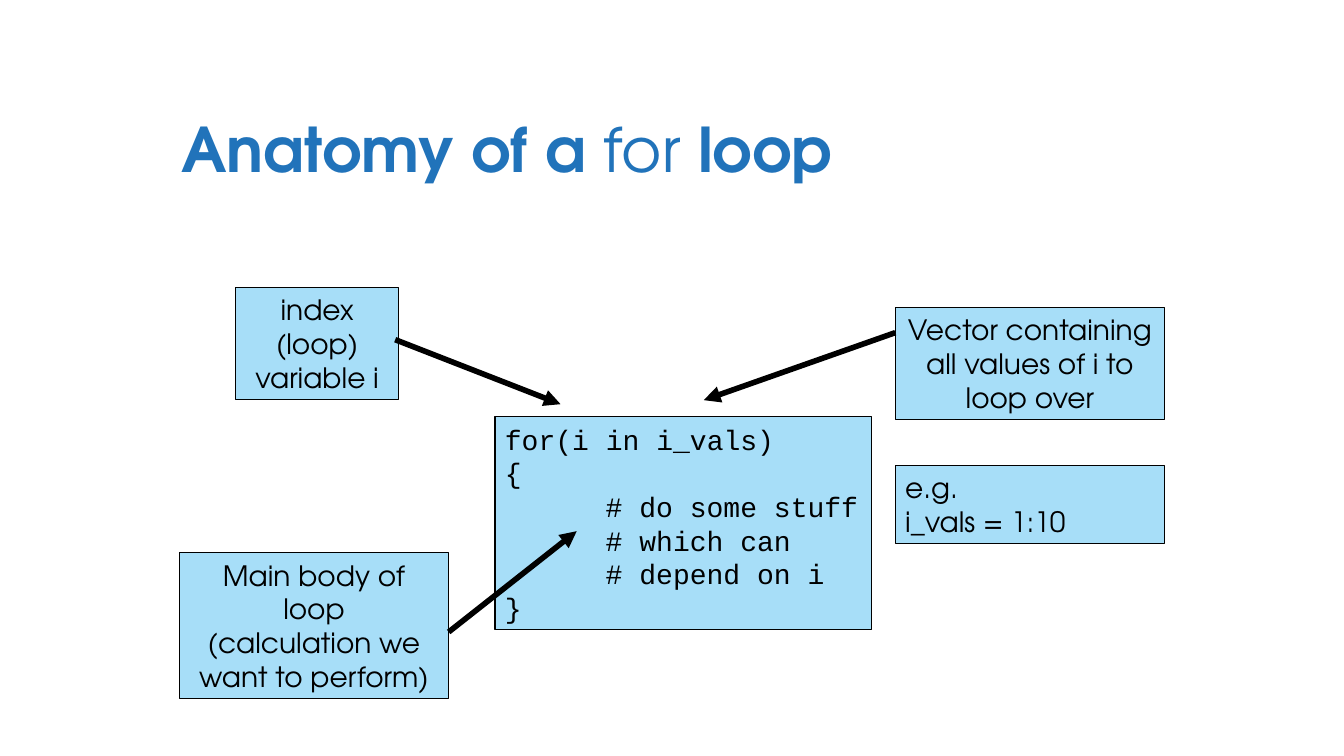
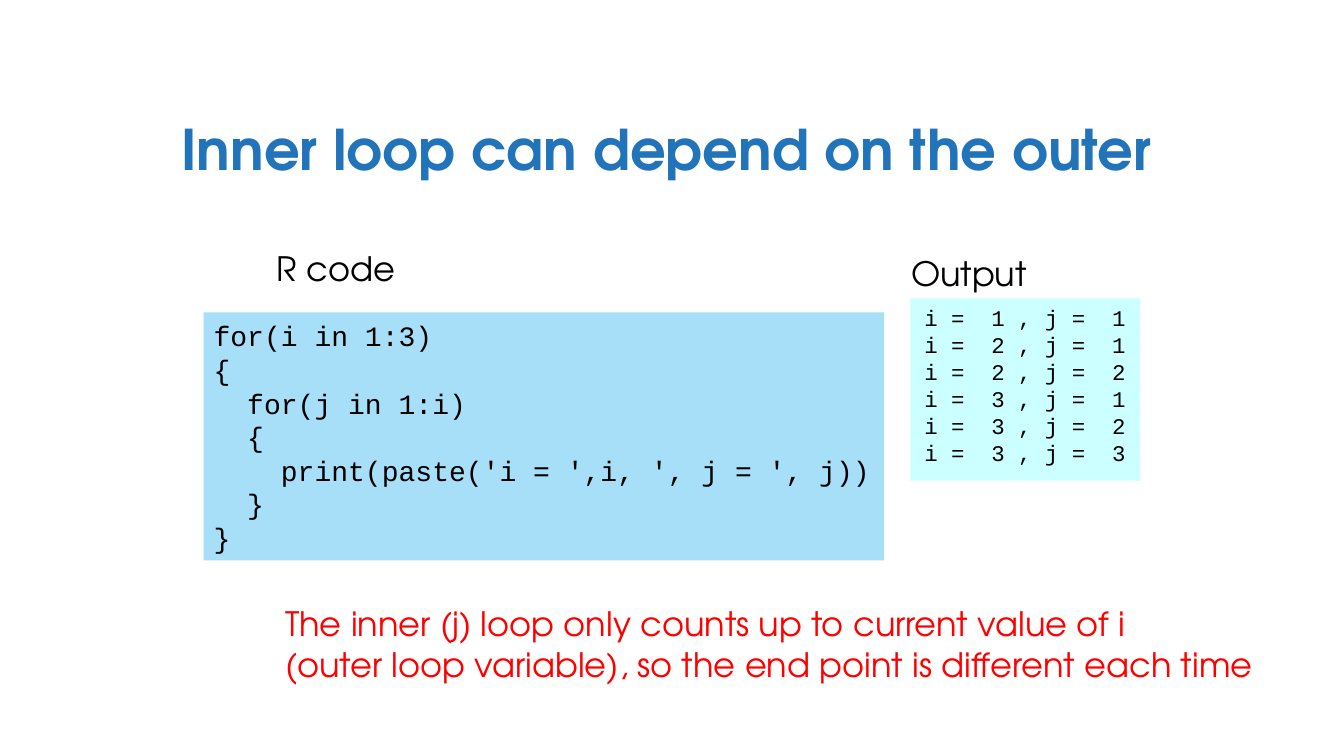
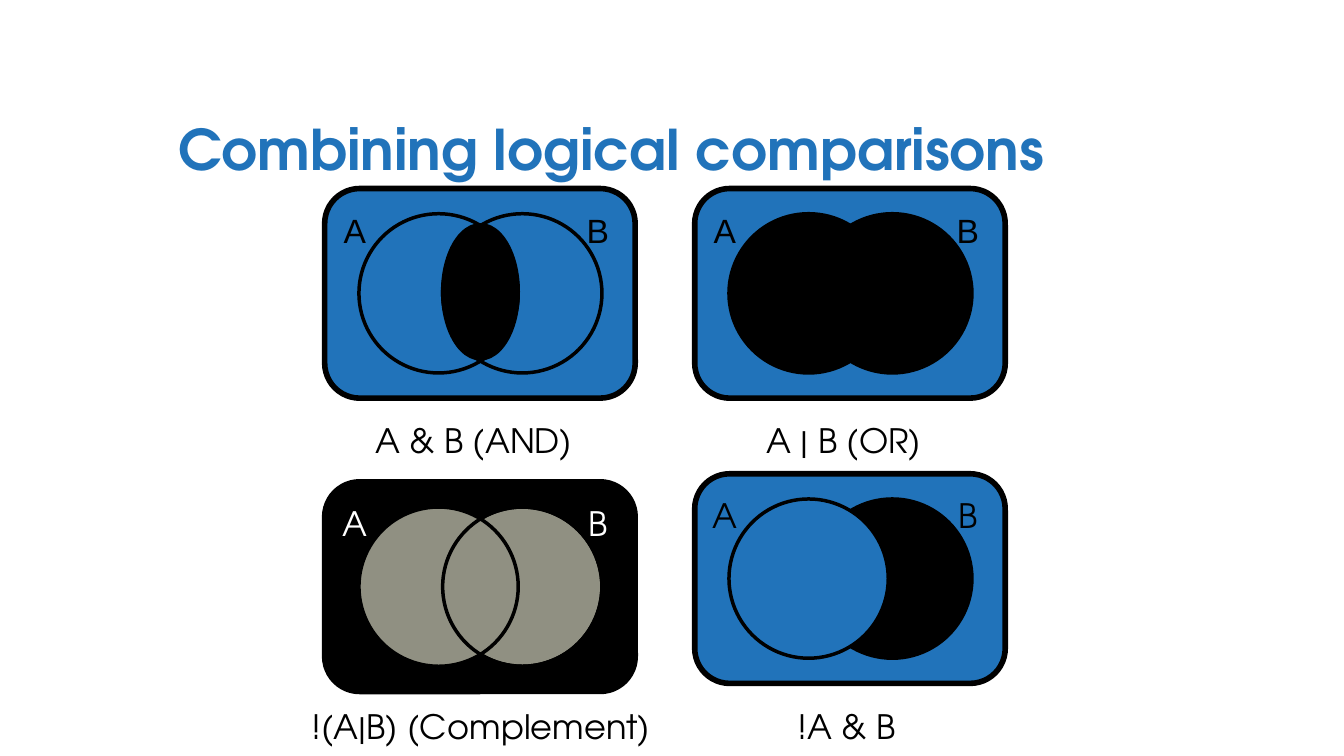
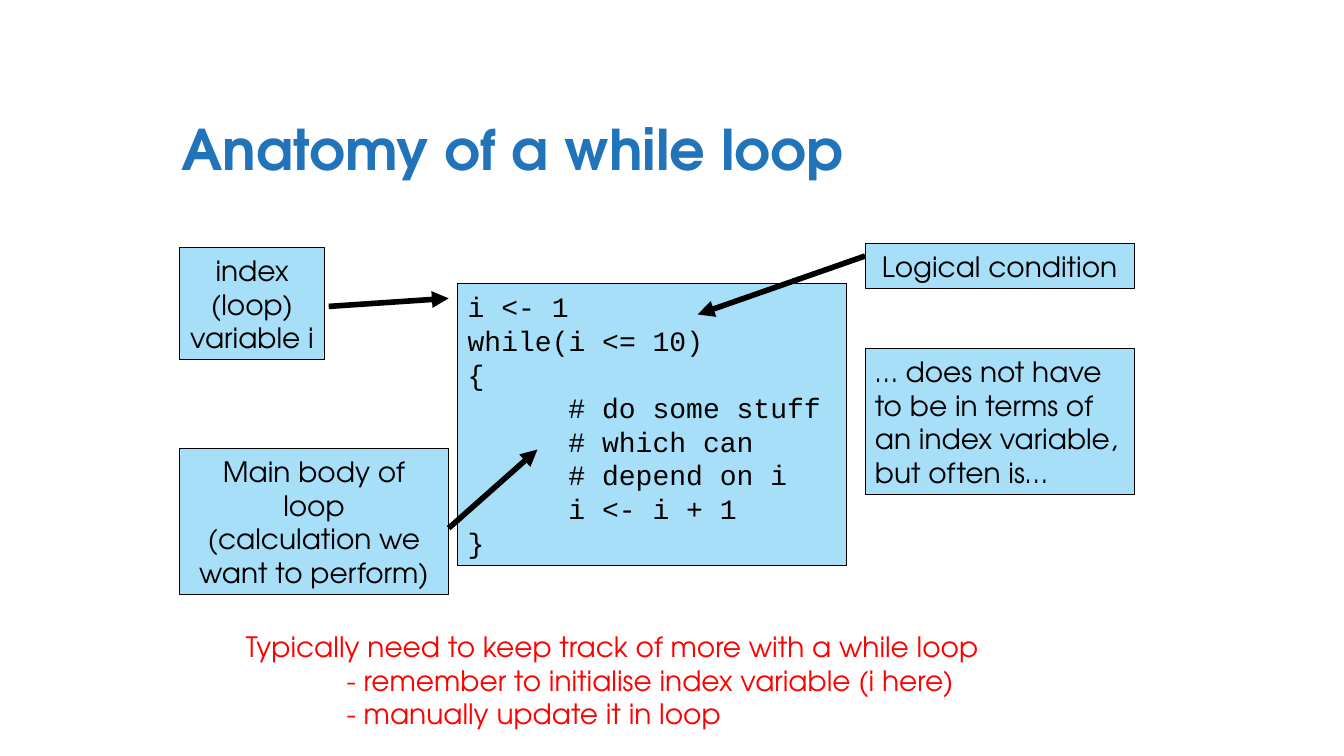
from lxml.etree import SubElement
from pptx import Presentation
from pptx.dml.color import RGBColor
from pptx.enum.shapes import MSO_CONNECTOR, MSO_SHAPE
from pptx.enum.text import MSO_ANCHOR, PP_ALIGN
from pptx.oxml.ns import qn
from pptx.util import Inches, Pt

BLUE = RGBColor(0x21, 0x73, 0xBA)
SKY = RGBColor(0xA7, 0xDE, 0xF8)
PALE = RGBColor(0xCC, 0xFF, 0xFF)
GREY = RGBColor(0x90, 0x90, 0x82)
RED = RGBColor(0xFF, 0x00, 0x00)
BLACK = RGBColor(0x00, 0x00, 0x00)
WHITE = RGBColor(0xFF, 0xFF, 0xFF)

SANS = "TeX Gyre Adventor"
MONO = "Courier New"
LETTER = "Arial"

MAIN_BODY = "Main body of loop\n(calculation we want to perform)"
INDEX = "index (loop) variable i"


def style(font, size, color, name=SANS, bold=False):
    font.name, font.size, font.bold = name, Pt(size), bold
    font.color.rgb = color


def add_tab_stop(para):
    tabs = SubElement(para._p.get_or_add_pPr(), qn("a:tabLst"))
    SubElement(tabs, qn("a:tab"), pos=str(Inches(1)), algn="l")


def write(shape, text, size, color=BLACK, name=SANS, align=PP_ALIGN.LEFT, wrap=True):
    frame = shape.text_frame
    frame.word_wrap = wrap
    frame.vertical_anchor = MSO_ANCHOR.MIDDLE
    frame.text = text
    for para in frame.paragraphs:
        para.alignment = align
        if name == MONO:
            para.line_spacing = Pt(size * 1.2)
        if "\t" in para.text:
            add_tab_stop(para)
        for span in para.runs:
            style(span.font, size, color, name)


def add_figure(page, kind, at, fill=None, line_width=None):
    shape = page.shapes.add_shape(kind, *map(Inches, at))
    shape.shadow.inherit = False
    if fill is None:
        shape.fill.background()
    else:
        shape.fill.solid()
        shape.fill.fore_color.rgb = fill
    if line_width is None:
        shape.line.fill.background()
    else:
        shape.line.color.rgb = BLACK
        shape.line.width = Pt(line_width)
    return shape


def add_panel(page, at, text, name=SANS, align=PP_ALIGN.LEFT, line_width=0.75):
    shape = add_figure(page, MSO_SHAPE.RECTANGLE, at, SKY, line_width)
    write(shape, text, 20, name=name, align=align)


def add_callout(page, at, text, start, end):
    """Centred panel with an arrow to the code it explains."""
    add_panel(page, at, text, align=PP_ALIGN.CENTER)
    arrow = page.shapes.add_connector(
        MSO_CONNECTOR.STRAIGHT, *map(Inches, (*start, *end)))
    arrow.line.color.rgb = BLACK
    arrow.line.width = Pt(4)
    SubElement(arrow.line._get_or_add_ln(), qn("a:tailEnd"), type="triangle")
    SubElement(arrow._element.spPr, qn("a:effectLst"))


def add_text(page, at, text, size=24, **look):
    box = page.shapes.add_textbox(*map(Inches, at))
    write(box, text, size, wrap=False, **look)


def add_centred(page, centre, top, text, width=0.5, **look):
    add_text(page, (centre - width / 2, top, width, 0.5), text,
             align=PP_ALIGN.CENTER, **look)


def add_title(page, parts, size=40, left=1.7):
    """Title from (text, bold) parts."""
    box = page.shapes.add_textbox(
        Inches(left), Inches(0.84), Inches(9.84), Inches(1.25))
    frame = box.text_frame
    frame.word_wrap = True
    frame.vertical_anchor = MSO_ANCHOR.MIDDLE
    for text, bold in parts:
        span = frame.paragraphs[0].add_run()
        span.text = text
        style(span.font, size, BLUE, bold=bold)


def add_venn(page, left, top, frame_fill, circles, letter_font=SANS, letter_color=BLACK):
    """Framed Venn diagram; circles are (set name, fill) from back to front."""
    frame = add_figure(page, MSO_SHAPE.ROUNDED_RECTANGLE,
                       (left, top, 3.08, 2.08), frame_fill, 4)
    frame.adjustments[0] = 0.167
    offsets = {"A": 0.34, "B": 1.17}
    for set_name, fill in circles:
        add_figure(page, MSO_SHAPE.OVAL,
                   (left + offsets[set_name], top + 0.25, 1.58, 1.58), fill, 2.5)
    for letter, centre in (("A", 0.3), ("B", 2.71)):
        add_centred(page, left + centre, top + 0.16, letter,
                    name=letter_font, color=letter_color)


def build_for_loop(page):
    code = ("for(i in i_vals)\n{\n\t# do some stuff\n\t# which can\n"
            "\t# depend on i\n}")
    add_panel(page, (4.91, 4.13, 3.73, 2.12), code, MONO)
    add_callout(page, (2.34, 2.85, 1.61, 1.11), INDEX, (3.92, 3.37), (5.56, 4.01))
    add_callout(page, (8.88, 3.05, 2.67, 1.11),
                "Vector containing all values of i to loop over",
                (8.88, 3.3), (6.98, 3.97))
    add_panel(page, (8.88, 4.62, 2.67, 0.77), "e.g.\ni_vals = 1:10")
    add_callout(page, (1.78, 5.48, 2.67, 1.45), MAIN_BODY, (4.45, 6.27), (5.72, 5.27))
    add_title(page, [("Anatomy of a ", True), ("for", False), (" loop", True)], 44)


def build_nested_loop(page):
    add_title(page, [("Inner loop can depend on the outer", True)])
    code = ("for(i in 1:3)\n{\n  for(j in 1:i)\n  {\n"
            "    print(paste('i = ',i, ', j = ', j))\n  }\n}")
    add_panel(page, (2.02, 3.1, 6.75, 2.46), code, MONO, line_width=None)
    add_figure(page, MSO_SHAPE.RECTANGLE, (9.03, 2.96, 2.28, 1.81), PALE)
    output = "\n".join(f"i =  {i} , j =  {j}" for i in range(1, 4) for j in range(1, i + 1))
    add_text(page, (9.07, 2.96, 2.23, 1.72), output, 16, name=MONO)
    add_centred(page, 9.61, 2.46, "Output", 1.36)
    add_centred(page, 3.33, 2.41, "R code", 1.39)
    add_text(page, (2.73, 5.93, 9.93, 0.91),
             "The inner (j) loop only counts up to current value of i\n"
             "(outer loop variable), so the end point is different each time",
             color=RED)


def build_logic(page):
    left, right, top = 3.22, 6.89, 1.87
    add_venn(page, left, top, BLUE, [("A", None), ("B", None)], LETTER)
    add_figure(page, MSO_SHAPE.OVAL, (left + 1.17, top + 0.36, 0.75, 1.33), BLACK, 2.5)
    add_venn(page, right, top, BLUE, [("A", BLACK), ("B", BLACK)], LETTER)
    add_figure(page, MSO_SHAPE.RECTANGLE, (right + 1, top + 0.36, 1.12, 1.32), BLACK, 0.75)
    add_venn(page, left, 4.78, BLACK, [("B", GREY), ("A", GREY), ("B", None)],
             letter_color=WHITE)
    add_venn(page, right, 4.7, BLUE, [("B", BLACK), ("A", BLUE)])
    for centre, caption_top, caption, width in (
            (4.7, 4.12, "A & B (AND)", 2.17),
            (8.37, 4.12, "A | B (OR)", 1.9),
            (4.77, 6.95, "!(A|B) (Complement)", 3.74),
            (8.4, 6.95, "!A & B", 1.18)):
        add_centred(page, centre, caption_top, caption, width)
    add_title(page, [("Combining logical comparisons", True)], left=1.67)


def build_while_loop(page):
    code = ("i <- 1\nwhile(i <= 10)\n{\n\t# do some stuff\n\t# which can\n"
            "\t# depend on i\n\ti <- i + 1\n}")
    add_panel(page, (4.54, 2.81, 3.86, 2.8), code, MONO)
    add_panel(page, (8.58, 3.46, 2.67, 1.45),
              "… does not have to be in terms of an index variable, but often is…")
    add_callout(page, (1.78, 2.46, 1.44, 1.11), INDEX, (3.26, 3.04), (4.45, 2.96))
    add_callout(page, (8.58, 2.42, 2.67, 0.44), "Logical condition",
                (8.58, 2.54), (6.92, 3.12))
    add_callout(page, (1.78, 4.45, 2.67, 1.45), MAIN_BODY, (4.45, 5.24), (5.33, 4.46))
    add_title(page, [("Anatomy of a while loop", True)])
    add_text(page, (2.34, 6.19, 7.57, 1.11),
             "Typically need to keep track of more with a while loop\n"
             "\t- remember to initialise index variable (i here)\n"
             "\t- manually update it in loop", 20, color=RED)


def main():
    deck = Presentation()
    deck.slide_width, deck.slide_height = Inches(13.33), Inches(7.5)
    for build in (build_for_loop, build_nested_loop, build_logic, build_while_loop):
        build(deck.slides.add_slide(deck.slide_layouts[6]))
    deck.save("out.pptx")


if __name__ == "__main__":
    main()
